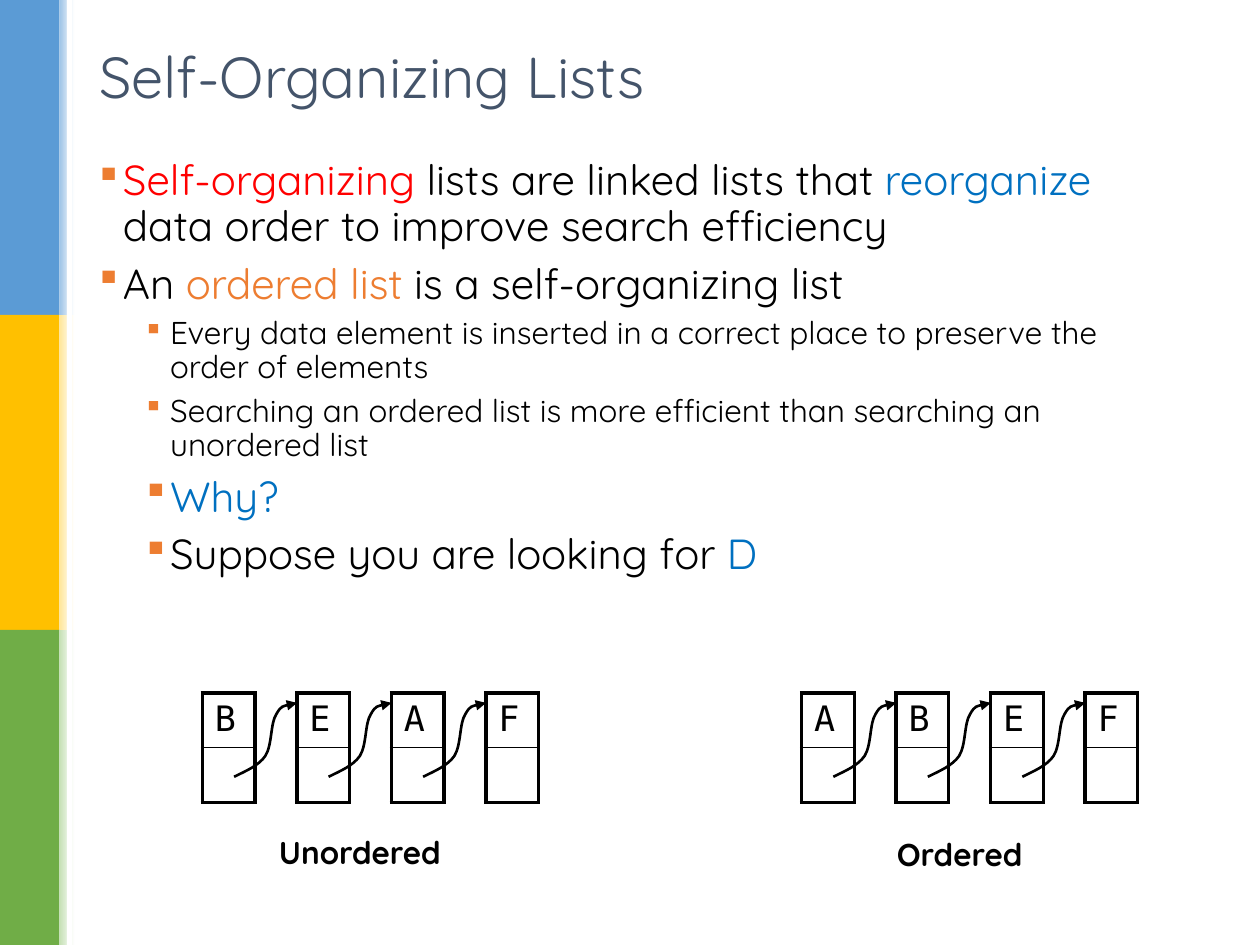
"""Build a slide that compares unordered and ordered linked lists."""
from dataclasses import dataclass
from typing import NamedTuple

from lxml.etree import SubElement
from pptx import Presentation
from pptx.dml.color import RGBColor
from pptx.enum.shapes import MSO_SHAPE as Preset
from pptx.enum.text import MSO_ANCHOR as Anchor, MSO_AUTO_SIZE as AutoSize, PP_ALIGN as Align
from pptx.oxml.ns import qn
from pptx.util import Cm, Pt

BODY_FONT, NODE_FONT, BULLET_FONT = "Quicksand", "DejaVu Sans Mono", "Wingdings"
BLACK, WHITE, RED, BLUE, ORANGE, SLATE = "000000", "FFFFFF", "FF0000", "0070C0", "ED7D31", "44546A"
SLIDE_WIDTH, SLIDE_HEIGHT = 25.4, 19.05
BAND_WIDTH, FADE_WIDTH, BAND_HEIGHT = 1.2, 0.3, SLIDE_HEIGHT / 3
NODE_TOP, NODE_WIDTH, ROW_HEIGHT, NODE_PITCH = 13.97, 1.06, 1.1, 1.905
LINK_CURVE = [(0.64, 1.69), (0.88, 1.57), (1.13, 1.47), (1.27, 1.27), (1.41, 1.05),
              (1.37, 0.61), (1.49, 0.43), (1.59, 0.25), (1.75, 0.23), (1.91, 0.2)]


class Band(NamedTuple):
    color: str
    fade: str


class Piece(NamedTuple):
    text: str
    color: str = BLACK


@dataclass
class Bullet:
    pieces: list[Piece]
    level: int = 0
    size: int = 24


@dataclass
class LinkedList:
    name: str
    letters: str
    left: float
    label_left: float
    label_top: float


BANDS = [Band("5B9BD5", "9DC3E6"), Band("FFC000", "FFE699"), Band("70AD47", "C5E0B4")]
BULLETS = [
    Bullet([Piece("Self-organizing", RED), Piece(" lists are linked lists that "),
            Piece("reorganize", BLUE), Piece(" data order to improve search efficiency")]),
    Bullet([Piece("An "), Piece("ordered list ", ORANGE), Piece("is a self-organizing list")]),
    Bullet([Piece("Every data element is inserted in a correct place "
                  "to preserve the order of elements")], 1, 18),
    Bullet([Piece("Searching an ordered list is more efficient "
                  "than searching an unordered list")], 1, 18),
    Bullet([Piece("Why?", BLUE)], 1),
    Bullet([Piece("Suppose you are looking for "), Piece("D", BLUE)], 1),
]
LISTS = [
    LinkedList("Ordered", "ABEF", 16.16, 17.2, 16.71),
    LinkedList("Unordered", "BEAF", 4.08, 5.11, 16.66),
]


def paint(fill, color: str) -> None:
    """Give a fill a solid colour."""
    fill.solid()
    fill.fore_color.rgb = RGBColor.from_string(color)


def add_rectangle(slide, left: float, top: float, width: float, height: float,
                  color: str, fade: str = "") -> None:
    """Draw a borderless rectangle, fading from fade to color when fade is given."""
    shape = slide.shapes.add_shape(Preset.RECTANGLE, Cm(left), Cm(top), Cm(width), Cm(height))
    shape.shadow.inherit = False
    shape.line.fill.background()
    if fade:
        shape.fill.gradient()
        shape.fill.gradient_angle = 0
        for stop, stop_color in zip(shape.fill.gradient_stops, (fade, color)):
            stop.color.rgb = RGBColor.from_string(stop_color)
    else:
        paint(shape.fill, color)


def add_text_frame(slide, left: float, top: float, width: float, height: float):
    """Add a wrapping text box and return its text frame."""
    frame = slide.shapes.add_textbox(Cm(left), Cm(top), Cm(width), Cm(height)).text_frame
    frame.word_wrap = True
    return frame


def add_run(paragraph, text: str, size: float, color: str = BLACK,
            font: str = BODY_FONT, bold: bool = False) -> None:
    """Append one formatted run to a paragraph."""
    run = paragraph.add_run()
    run.text = text
    run.font.name, run.font.size, run.font.bold = font, Pt(size), bold
    paint(run.font.fill, color)


def add_bullets(slide, bullets: list[Bullet]) -> None:
    """Write the bulleted body text."""
    frame = add_text_frame(slide, 1.75, 3.09, 21.9, 14.66)
    for index, bullet in enumerate(bullets):
        paragraph = frame.add_paragraph() if index else frame.paragraphs[0]
        paragraph.level = bullet.level
        paragraph.line_spacing = 0.9
        paragraph.space_before = Pt(0.3 * bullet.size)
        properties = paragraph._p.get_or_add_pPr()
        properties.set("marL", str(Cm(0.48 + 0.95 * bullet.level)))
        properties.set("indent", str(Cm(-0.48)))
        SubElement(SubElement(properties, qn("a:buClr")), qn("a:srgbClr"), val=ORANGE)
        SubElement(properties, qn("a:buFont"), typeface=BULLET_FONT, charset="2")
        SubElement(properties, qn("a:buChar"), char="§")
        for piece in bullet.pieces:
            add_run(paragraph, piece.text, bullet.size, piece.color)


def set_borders(cell, **widths: float) -> None:
    """Draw black cell borders, with widths in points keyed by side."""
    properties = cell._tc.get_or_add_tcPr()
    for side in "LRTB":
        line = SubElement(properties, qn(f"a:ln{side}"), w=str(Pt(widths[side])))
        SubElement(SubElement(line, qn("a:solidFill")), qn("a:srgbClr"), val=BLACK)
    cell.fill.background()


def add_node(slide, left: float, letter: str) -> None:
    """Draw a list node with a data cell above a link cell."""
    table = slide.shapes.add_table(2, 1, Cm(left), Cm(NODE_TOP),
                                   Cm(NODE_WIDTH), Cm(2 * ROW_HEIGHT)).table
    table.first_row = table.horz_banding = False
    data_cell, link_cell = table.cell(0, 0), table.cell(1, 0)
    set_borders(data_cell, L=2.25, R=2.25, T=2.25, B=1)
    set_borders(link_cell, L=2.25, R=2.25, T=1, B=2.25)
    add_run(data_cell.text_frame.paragraphs[0], letter, 20, font=NODE_FONT)


def add_link(slide, left: float) -> None:
    """Draw the curved arrow from a node to the next one."""
    points = [(Cm(left + x), Cm(NODE_TOP + y)) for x, y in LINK_CURVE]
    builder = slide.shapes.build_freeform(*points[0])
    builder.add_line_segments(points[1:], close=False)
    shape = builder.convert_to_shape()
    segments = list(shape._element.iter(qn("a:lnTo")))
    outline = segments[0].getparent()
    for start in range(0, len(segments), 3):
        curve = SubElement(outline, qn("a:cubicBezTo"))
        for segment in segments[start:start + 3]:
            curve.append(segment[0])
            outline.remove(segment)
    shape.shadow.inherit = False
    shape.fill.background()
    paint(shape.line.fill, BLACK)
    shape.line.width = Pt(1.5)
    SubElement(shape.line._get_or_add_ln(), qn("a:tailEnd"), type="triangle")


def add_linked_list(slide, linked_list: LinkedList) -> None:
    """Draw the nodes, links and label of one linked list."""
    lefts = [linked_list.left + NODE_PITCH * index for index in range(len(linked_list.letters))]
    for left, letter in zip(lefts, linked_list.letters):
        add_node(slide, left, letter)
    for left in lefts[:-1]:
        add_link(slide, left)
    frame = add_text_frame(slide, linked_list.label_left, linked_list.label_top, 4.29, 1.02)
    frame.auto_size = AutoSize.SHAPE_TO_FIT_TEXT
    frame.paragraphs[0].alignment = Align.CENTER
    add_run(frame.paragraphs[0], linked_list.name, 18, bold=True)


def main() -> None:
    """Build and save the presentation."""
    presentation = Presentation()
    presentation.slide_width, presentation.slide_height = Cm(SLIDE_WIDTH), Cm(SLIDE_HEIGHT)
    slide = presentation.slides.add_slide(presentation.slide_layouts[6])
    for index, band in enumerate(BANDS):
        top = index * BAND_HEIGHT
        add_rectangle(slide, 0, top, BAND_WIDTH, BAND_HEIGHT, band.color)
        add_rectangle(slide, BAND_WIDTH, top, FADE_WIDTH, BAND_HEIGHT, WHITE, band.fade)
    add_rectangle(slide, 1.35, 0, 0.1, SLIDE_HEIGHT, WHITE)
    add_bullets(slide, BULLETS)
    title = add_text_frame(slide, 1.75, 0.66, 21.9, 1.73)
    title.vertical_anchor = Anchor.MIDDLE
    add_run(title.paragraphs[0], "Self-Organizing Lists", 33, SLATE)
    for linked_list in LISTS:
        add_linked_list(slide, linked_list)
    presentation.save("out.pptx")


if __name__ == "__main__":
    main()
